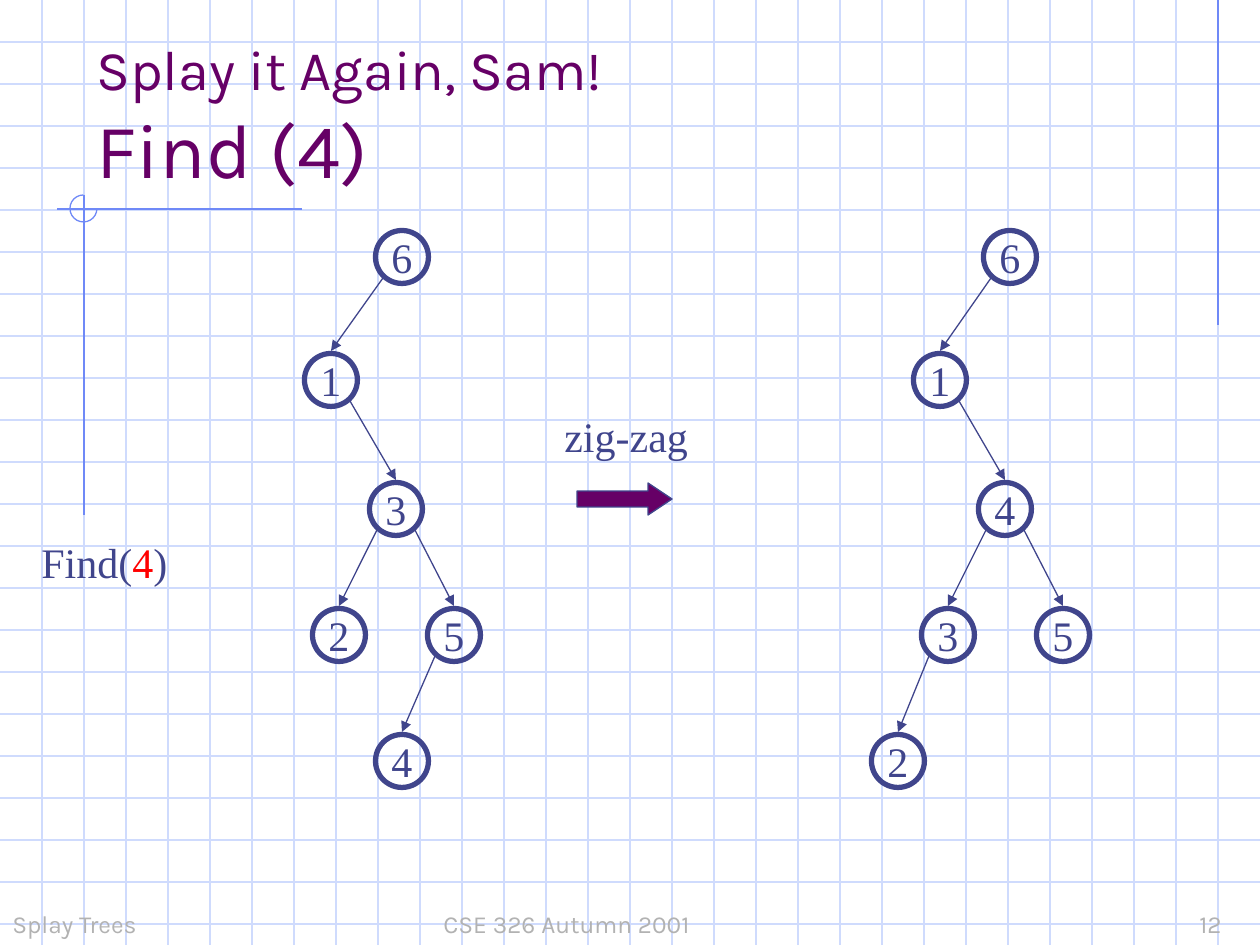
from dataclasses import dataclass

from lxml import etree
from pptx import Presentation
from pptx.dml.color import RGBColor
from pptx.enum.shapes import MSO_CONNECTOR, MSO_SHAPE
from pptx.enum.text import MSO_ANCHOR, PP_ALIGN
from pptx.oxml.ns import qn
from pptx.util import Pt

STRAIGHT = MSO_CONNECTOR.STRAIGHT
CIRCLE, ARC, RIGHT_ARROW = MSO_SHAPE.OVAL, MSO_SHAPE.ARC, MSO_SHAPE.RIGHT_ARROW
TOP, MIDDLE, BOTTOM = MSO_ANCHOR.TOP, MSO_ANCHOR.MIDDLE, MSO_ANCHOR.BOTTOM
CENTER = PP_ALIGN.CENTER


@dataclass(frozen=True)
class Theme:
    grid: str = "CFDBFD"
    accent: str = "6F89F7"
    heading: str = "660066"
    ink: str = "40458C"
    target: str = "FF0000"
    muted: str = "B2B2B2"
    heading_font: str = "Karla"
    body_font: str = "Times New Roman"
    kicker_size: int = 32
    title_size: int = 44
    body_size: int = 24
    footer_size: int = 14
    thin: float = 0.75
    ring: float = 3


THEME = Theme()
EMU_PER_PX = 914400 / 126
WIDTH, HEIGHT, GRID_STEP = 1260, 945, 42
NODE_SIZE = 53
EDGE_START = (19, 21)   # from the parent's centre, sideways and down
EDGE_END_RISE = 29      # above the child's centre
FOOTER_TAB_INCHES = 6

# Text boxes: box, anchor, font, [(run, size, colour)]; \v breaks the line
FOOTER = (THEME.footer_size, THEME.muted)
BODY = (THEME.body_size, THEME.ink)
TEXTS = [
    ((0, 882, 262, 63), BOTTOM, THEME.heading_font, [("Splay Trees", *FOOTER)]),
    ((431, 882, 829, 63), BOTTOM, THEME.heading_font,
     [("CSE 326 Autumn 2001\t12", *FOOTER)]),
    ((84, 42, 1071, 158), BOTTOM, THEME.heading_font,
     [("Splay it Again, Sam!\v", THEME.kicker_size, THEME.heading),
      ("Find (4)", THEME.title_size, THEME.heading)]),
    ((29, 530, 151, 63), TOP, THEME.body_font,
     [("Find(", *BODY), ("4", THEME.body_size, THEME.target), (")", *BODY)]),
    ((552, 404, 149, 63), TOP, THEME.body_font, [("zig-zag", *BODY)]),
]

# Trees: key -> centre, and (parent, child) edges
TREES = [
    ({6: (402, 257), 1: (331, 380), 3: (396, 509),
      2: (339, 635), 5: (454, 635), 4: (402, 761)},
     [(6, 1), (1, 3), (3, 2), (3, 5), (5, 4)]),
    ({6: (1010, 257), 1: (940, 380), 4: (1005, 509),
      3: (948, 635), 5: (1063, 635), 2: (898, 761)},
     [(6, 1), (1, 4), (4, 3), (4, 5), (3, 2)]),
]

ACCENT_LINES = [(1218, 0, 1218, 325), (302, 209, 57, 209), (84, 195, 84, 515)]
ACCENT_ARC = (70, 195, 27, 27)
STEP_ARROW = (577, 483, 95, 32)


def px(*lengths):
    return [round(length * EMU_PER_PX) for length in lengths]


def rgb(colour):
    return RGBColor.from_string(colour)


def add_line(slide, ends, colour, arrow=False):
    line = slide.shapes.add_connector(STRAIGHT, *px(*ends))
    line.line.color.rgb = rgb(colour)
    line.line.width = Pt(THEME.thin)
    if arrow:
        etree.SubElement(line.line._get_or_add_ln(), qn("a:tailEnd"), type="triangle")
    etree.SubElement(line._element.spPr, qn("a:effectLst"))


def add_outline(slide, kind, box, colour, weight, fill=None):
    shape = slide.shapes.add_shape(kind, *px(*box))
    shape.shadow.inherit = False
    if fill:
        shape.fill.solid()
        shape.fill.fore_color.rgb = rgb(fill)
    else:
        shape.fill.background()
    shape.line.color.rgb = rgb(colour)
    shape.line.width = Pt(weight)
    return shape


def style_run(run, font, size, colour):
    run.font.name = font
    run.font.size = Pt(size)
    run.font.color.rgb = rgb(colour)


def add_text(slide, box, anchor, font, pieces):
    frame = slide.shapes.add_textbox(*px(*box)).text_frame
    frame.word_wrap = anchor == BOTTOM
    frame.vertical_anchor = anchor
    paragraph = frame.paragraphs[0]
    for words, size, colour in pieces:
        run = paragraph.add_run()
        run.text = words.rstrip("\v")
        style_run(run, font, size, colour)
        if words.endswith("\v"):
            paragraph.add_line_break()
        if "\t" in words:
            stops = etree.SubElement(paragraph._p.get_or_add_pPr(), qn("a:tabLst"))
            etree.SubElement(stops, qn("a:tab"),
                             pos=str(FOOTER_TAB_INCHES * 914400), algn="l")


def add_node(slide, key, centre):
    x, y = centre
    box = (x - NODE_SIZE / 2, y - NODE_SIZE / 2, NODE_SIZE, NODE_SIZE)
    frame = add_outline(slide, CIRCLE, box, THEME.ink, THEME.ring).text_frame
    frame.word_wrap = False
    frame.vertical_anchor = MIDDLE
    frame.text = str(key)
    frame.paragraphs[0].alignment = CENTER
    style_run(frame.paragraphs[0].runs[0], THEME.body_font, *BODY)


def add_tree(slide, centres, edges):
    for parent, child in edges:
        (x1, y1), (x2, y2) = centres[parent], centres[child]
        side, drop = EDGE_START
        start_x = x1 + side if x2 > x1 else x1 - side
        add_line(slide, (start_x, y1 + drop, x2, y2 - EDGE_END_RISE),
                 THEME.ink, arrow=True)
    for key, centre in centres.items():
        add_node(slide, key, centre)


def add_background(slide):
    for y in range(GRID_STEP, HEIGHT, GRID_STEP):
        add_line(slide, (0, y, WIDTH, y), THEME.grid)
    for x in range(GRID_STEP, WIDTH, GRID_STEP):
        add_line(slide, (x, 0, x, HEIGHT), THEME.grid)
    for ends in ACCENT_LINES:
        add_line(slide, ends, THEME.accent)
    arc = add_outline(slide, ARC, ACCENT_ARC, THEME.accent, THEME.thin)
    arc.adjustments[0], arc.adjustments[1] = 0, 162  # 0 to 270 degrees


def main():
    deck = Presentation()
    deck.slide_width, deck.slide_height = px(WIDTH, HEIGHT)
    slide = deck.slides.add_slide(deck.slide_layouts[6])
    add_background(slide)
    for text in TEXTS:
        add_text(slide, *text)
    step = add_outline(slide, RIGHT_ARROW, STEP_ARROW, THEME.ink, THEME.thin,
                       THEME.heading)
    step.adjustments[0], step.adjustments[1] = 0.5, 0.75
    for tree in TREES:
        add_tree(slide, *tree)
    deck.save("out.pptx")


if __name__ == "__main__":
    main()
